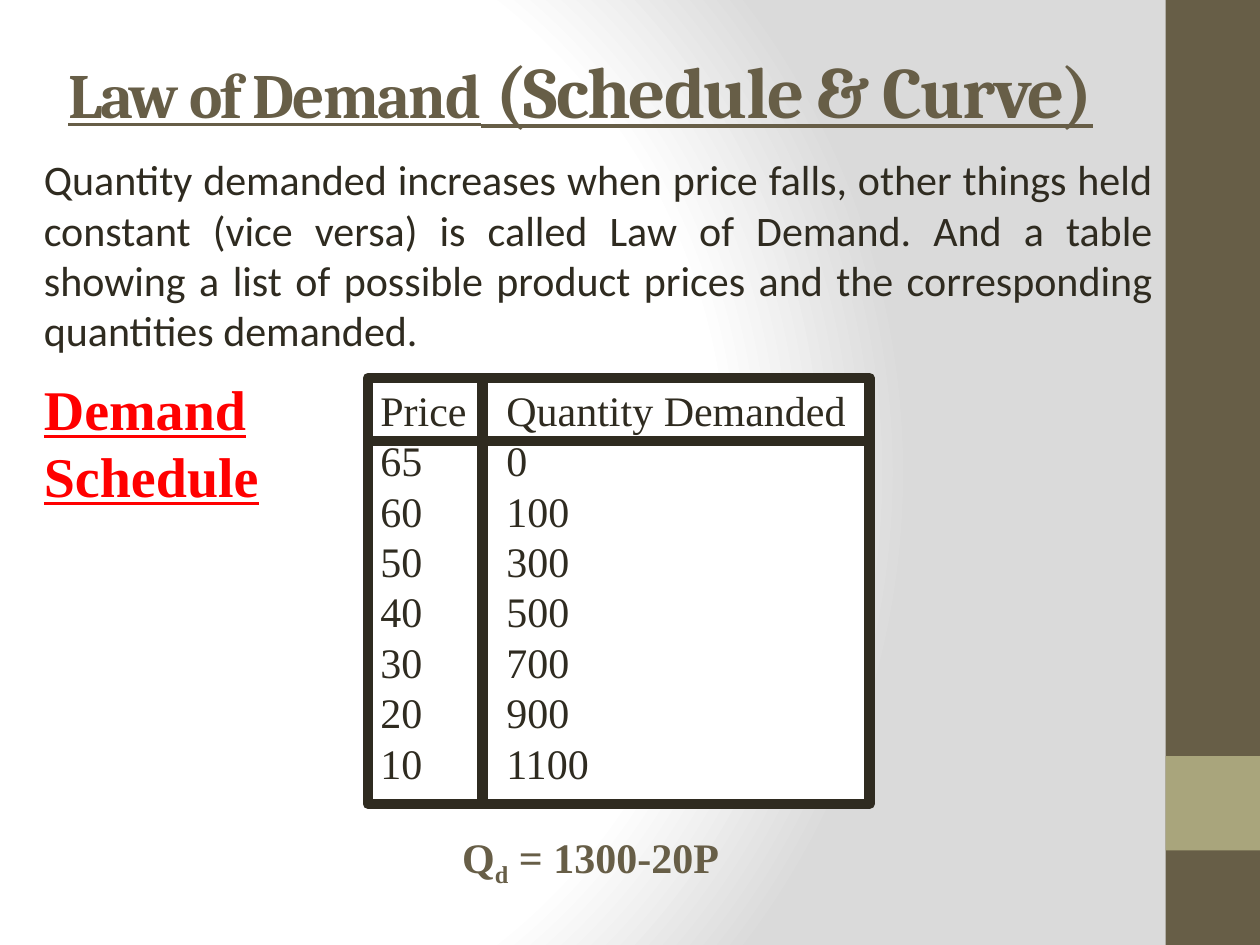
from dataclasses import dataclass

from lxml import etree
from pptx import Presentation
from pptx.dml.color import RGBColor
from pptx.enum.shapes import MSO_CONNECTOR, MSO_SHAPE
from pptx.enum.text import MSO_ANCHOR, MSO_AUTO_SIZE, PP_ALIGN
from pptx.oxml import parse_xml
from pptx.oxml.ns import nsdecls, qn
from pptx.util import Inches, Pt

RECT, STRAIGHT = MSO_SHAPE.RECTANGLE, MSO_CONNECTOR.STRAIGHT
LEFT, JUSTIFY = PP_ALIGN.LEFT, PP_ALIGN.JUSTIFY
TOP, MIDDLE = MSO_ANCHOR.TOP, MSO_ANCHOR.MIDDLE
NO_FIT = MSO_AUTO_SIZE.NONE

WHITE = RGBColor(0xFF, 0xFF, 0xFF)
BROWN = RGBColor(0x67, 0x5E, 0x47)
OLIVE = RGBColor(0xA9, 0xA5, 0x7C)
DARK = RGBColor(0x2F, 0x2B, 0x20)
RED = RGBColor(0xFF, 0x00, 0x00)

SERIF = "Times New Roman"
TITLE = dict(name="Cambria", size=Pt(36), bold=True, underline=True, color=BROWN)
BODY = dict(name="Calibri", size=Pt(24), color=DARK)
HEADING = dict(name=SERIF, size=Pt(32), bold=True, underline=True, color=RED)
CELL = dict(name=SERIF, size=Pt(24), color=DARK)
FORMULA = dict(name=SERIF, size=Pt(24), bold=True, color=BROWN)

SCHEDULE = [(65, 0), (60, 100), (50, 300), (40, 500), (30, 700), (20, 900), (10, 1100)]
RULE_WIDTH = Pt(6)


@dataclass
class Box:
    left: float
    top: float
    width: float
    height: float

    def lengths(self) -> list:
        return [Inches(v) for v in (self.left, self.top, self.width, self.height)]


@dataclass
class TextBlock:
    box: Box
    text: str
    style: dict
    align: PP_ALIGN = LEFT
    wrap: bool = True


@dataclass
class Rule:
    x1: float
    y1: float
    x2: float
    y2: float


SIDEBAR = [(Box(9.25, 0, 0.75, 7.5), BROWN), (Box(9.25, 6, 0.75, 0.75), OLIVE)]
BLOCKS = [
    TextBlock(Box(0.25, 2.92, 2, 1.18), "Demand Schedule", HEADING),
    TextBlock(
        Box(0.25, 1.17, 9, 1.72),
        "Quantity demanded increases when price falls, other things held constant "
        "(vice versa) is called Law of Demand. And a table showing a list of possible "
        "product prices and the corresponding quantities demanded.",
        BODY, JUSTIFY),
]
FORMULA_BLOCK = TextBlock(Box(3.57, 6.55, 2.25, 0.5), "Q", FORMULA, wrap=False)
SCHEDULE_BOX = Box(2.92, 3, 3.98, 3.38)
RULES = [Rule(3.83, 3, 3.83, 6.42), Rule(2.92, 3.5, 6.92, 3.5)]


def add_run(p, text: str, style: dict):
    r = p.add_run()
    r.text = text
    for key, value in style.items():
        if key == "color":
            r.font.color.rgb = value
        else:
            setattr(r.font, key, value)
    return r


def set_background(s) -> None:
    """Fill the slide with a circular white-to-grey gradient."""
    s.background.fill.solid()
    solid = next(s.element.iter(qn("p:bgPr")))[0]
    solid.getparent().replace(solid, parse_xml(
        f'<a:gradFill {nsdecls("a")} rotWithShape="1"><a:gsLst>'
        '<a:gs pos="0"><a:srgbClr val="FFFFFF"/></a:gs>'
        '<a:gs pos="75000"><a:srgbClr val="FFFFFF"/></a:gs>'
        '<a:gs pos="100000"><a:srgbClr val="DADADA"/></a:gs></a:gsLst>'
        '<a:path path="circle">'
        '<a:fillToRect l="20000" t="50000" r="100000" b="50000"/>'
        '</a:path></a:gradFill>'))


def add_rect(s, box: Box, fill: RGBColor):
    sp = s.shapes.add_shape(RECT, *box.lengths())
    sp.shadow.inherit = False
    sp.fill.solid()
    sp.fill.fore_color.rgb = fill
    sp.line.fill.background()
    return sp


def add_text(s, block: TextBlock):
    tf = s.shapes.add_textbox(*block.box.lengths()).text_frame
    tf.word_wrap = block.wrap
    p = tf.paragraphs[0]
    p.alignment = block.align
    add_run(p, block.text, block.style)
    return p


def add_rule(s, rule: Rule) -> None:
    ends = [Inches(v) for v in (rule.x1, rule.y1, rule.x2, rule.y2)]
    line = s.shapes.add_connector(STRAIGHT, *ends)
    line.line.color.rgb = DARK
    line.line.width = RULE_WIDTH
    etree.SubElement(line.element.spPr, qn("a:effectLst"))


def fill_title(s) -> None:
    title = s.shapes.title
    title.left, title.top, title.width, title.height = Box(0.44, 0.25, 8.5, 0.92).lengths()
    tf = title.text_frame
    tf.word_wrap, tf.auto_size, tf.vertical_anchor = True, NO_FIT, MIDDLE
    p = tf.paragraphs[0]
    p.alignment = LEFT
    for text, size in (("Law of Demand", 36), (" (Schedule & Curve)", 41.4)):
        r = add_run(p, text, {**TITLE, "size": Pt(size)})
        r.font._element.set("spc", "-100")


def add_schedule(s) -> None:
    sp = add_rect(s, SCHEDULE_BOX, WHITE)
    sp.line.color.rgb = DARK
    sp.line.width = RULE_WIDTH
    tf = sp.text_frame
    tf.word_wrap, tf.vertical_anchor = True, TOP
    rows = ["Price\tQuantity Demanded"] + [f"{price}\t\t{qty}" for price, qty in SCHEDULE]
    for i, row in enumerate(rows):
        p = tf.add_paragraph() if i else tf.paragraphs[0]
        p.alignment = LEFT
        add_run(p, row, CELL)
    for rule in RULES:
        add_rule(s, rule)


def add_formula(s) -> None:
    p = add_text(s, FORMULA_BLOCK)
    subscript = add_run(p, "d", FORMULA)
    subscript.font._element.set("baseline", "-25000")
    add_run(p, " = 1300-20P", FORMULA)


def main() -> None:
    prs = Presentation()
    prs.slide_width, prs.slide_height = Inches(10), Inches(7.5)
    s = prs.slides.add_slide(prs.slide_layouts.get_by_name("Title Only"))
    set_background(s)
    for box, color in SIDEBAR:
        add_rect(s, box, color)
    fill_title(s)
    add_schedule(s)
    for block in BLOCKS:
        add_text(s, block)
    add_formula(s)
    prs.save("out.pptx")


if __name__ == "__main__":
    main()
